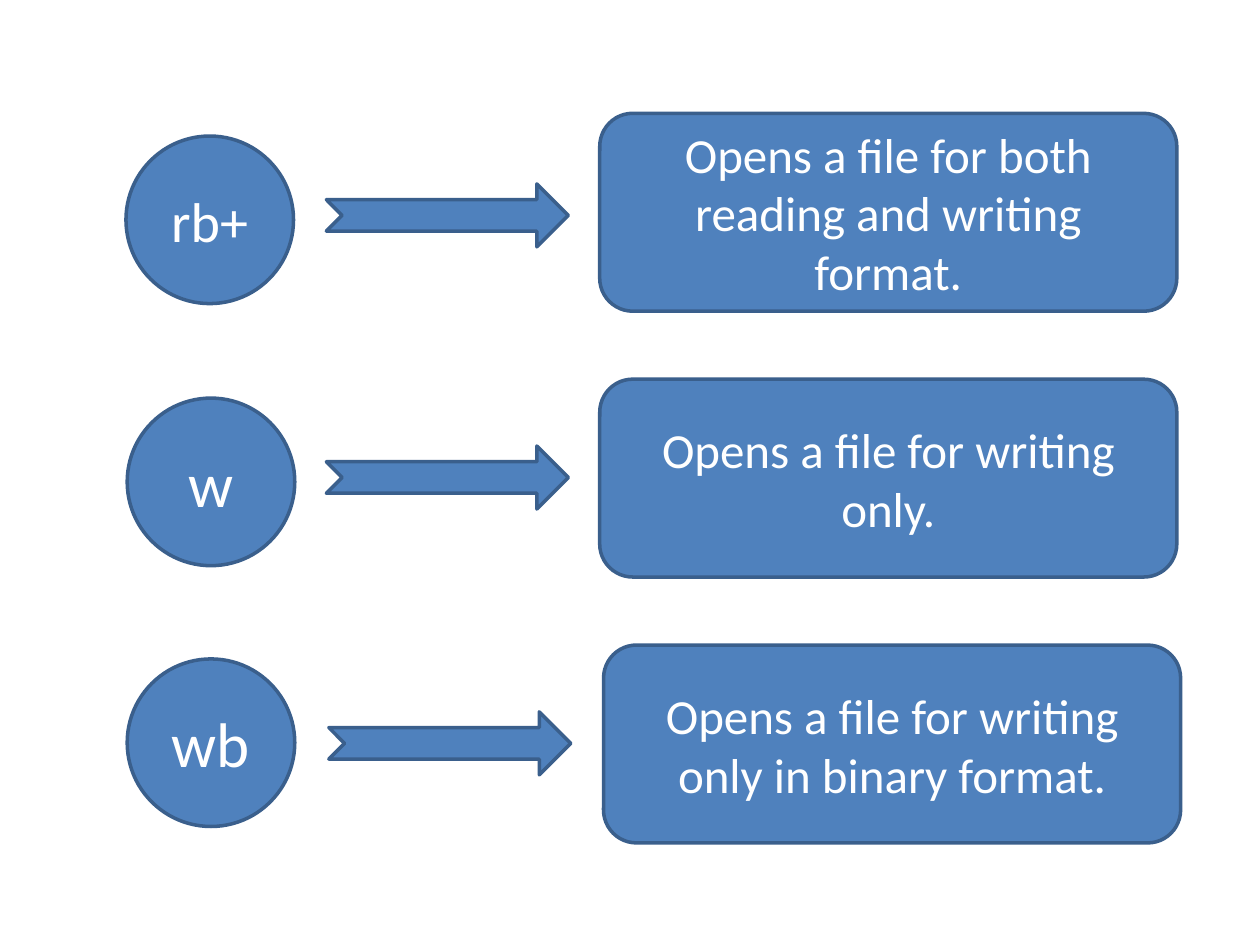
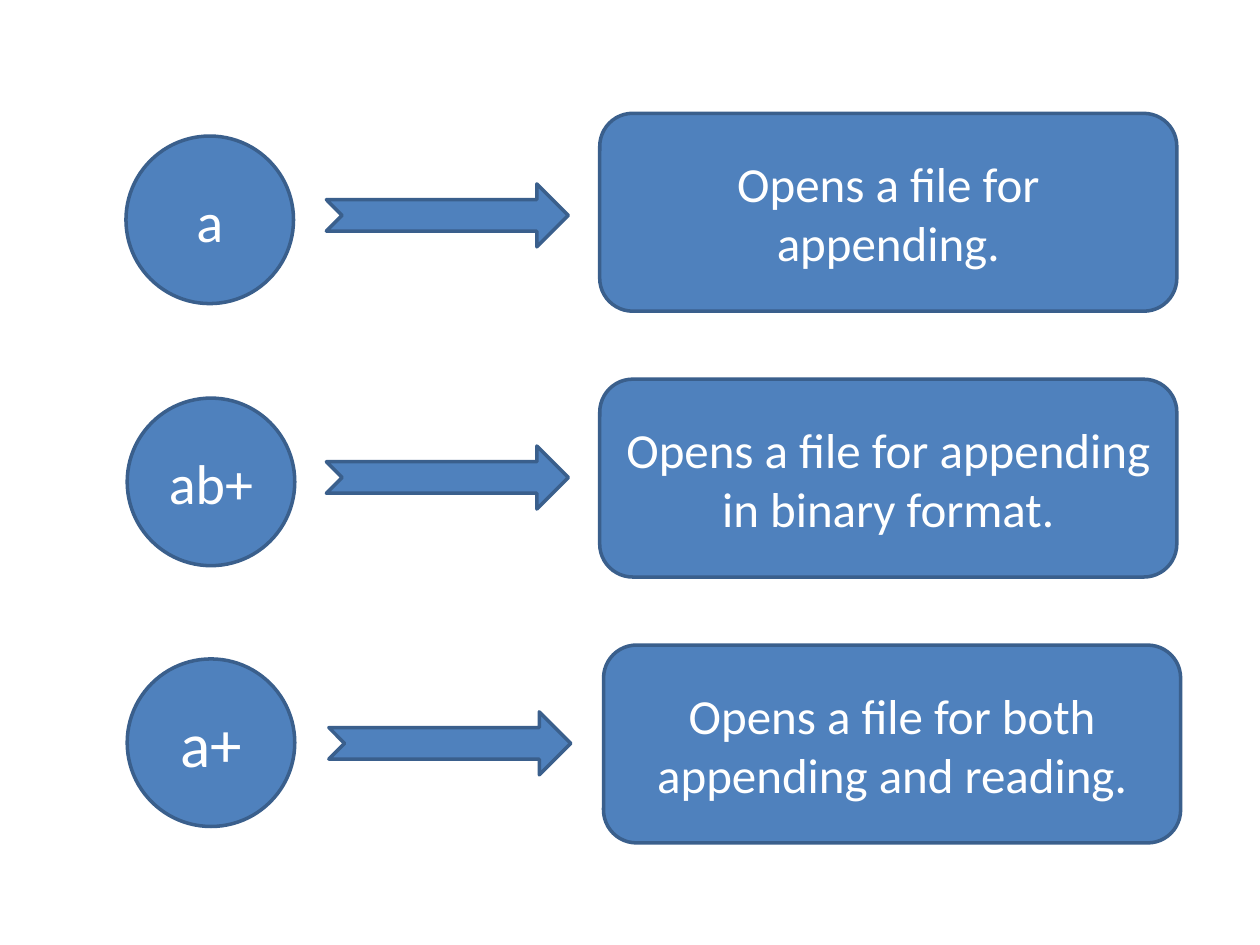
from pptx import Presentation
from pptx.dml.color import RGBColor
from pptx.enum import shapes, text
from pptx.util import Inches, Pt

BLUE = RGBColor(0x4F, 0x81, 0xBD)
DARK_BLUE = RGBColor(0x3A, 0x5F, 0x8C)
WHITE = RGBColor(0xFF, 0xFF, 0xFF)

# Left and top of each part, row by row
CIRCLE_SPOTS = [(1, 1.08), (1.01, 3.16), (1.01, 5.23)]
ARROW_SPOTS = [(2.59, 1.46), (2.59, 3.54), (2.61, 5.65)]
BOX_SPOTS = [(4.76, 0.9), (4.76, 3.01), (4.79, 5.12)]

# Each slide: mode, mode text size, meaning
SLIDES = [
    [("rb+", 32, "Opens a file for both reading and writing format."),
     ("w", 36, "Opens a file for writing only."),
     ("wb", 36, "Opens a file for writing only in binary format.")],
    [("a", 32, "Opens a file for appending."),
     ("ab+", 32, "Opens a file for appending in binary format."),
     ("a+", 36, "Opens a file for both appending and reading.")],
]


class Deck:
    """Holds the shared style and the current slide."""

    font = {"name": "Calibri"}

    def __init__(self):
        self.prs = Presentation()
        self.prs.slide_width, self.prs.slide_height = Inches(10), Inches(7.5)
        self.slide = None

    def new_slide(self):
        self.slide = self.prs.slides.add_slide(self.prs.slide_layouts[6])

    def shape(self, kind, spot, width, height):
        lengths = [Inches(n) for n in (*spot, width, height)]
        sp = self.slide.shapes.add_shape(kind, *lengths)
        sp.shadow.inherit = False
        sp.fill.solid()
        sp.fill.fore_color.rgb = BLUE
        sp.line.color.rgb = DARK_BLUE
        sp.line.width = Pt(2)
        return sp

    def label(self, sp, words, size):
        tf = sp.text_frame
        tf.word_wrap = True
        tf.vertical_anchor = text.MSO_ANCHOR.MIDDLE
        p = tf.paragraphs[0]
        p.alignment = text.PP_ALIGN.CENTER
        r = p.add_run()
        r.text = words
        for key, value in {**self.font, "size": Pt(size)}.items():
            setattr(r.font, key, value)
        r.font.color.rgb = WHITE

    def circle(self, spot, mode, size):
        sp = self.shape(shapes.MSO_SHAPE.OVAL, spot, 1.33, 1.33)
        self.label(sp, mode, size)

    def arrow(self, spot):
        self.shape(shapes.MSO_SHAPE.NOTCHED_RIGHT_ARROW, spot, 1.92, 0.5)

    def box(self, spot, meaning):
        sp = self.shape(shapes.MSO_SHAPE.ROUNDED_RECTANGLE, spot, 4.58, 1.57)
        self.label(sp, meaning, 28)


def main():
    deck = Deck()
    for rows in SLIDES:
        deck.new_slide()
        # One row per file mode: circle, arrow, meaning
        for row, circle, arrow, box in zip(rows, CIRCLE_SPOTS, ARROW_SPOTS, BOX_SPOTS):
            mode, size, meaning = row
            deck.circle(circle, mode, size)
            deck.arrow(arrow)
            deck.box(box, meaning)
    deck.prs.save("out.pptx")


if __name__ == "__main__":
    main()
